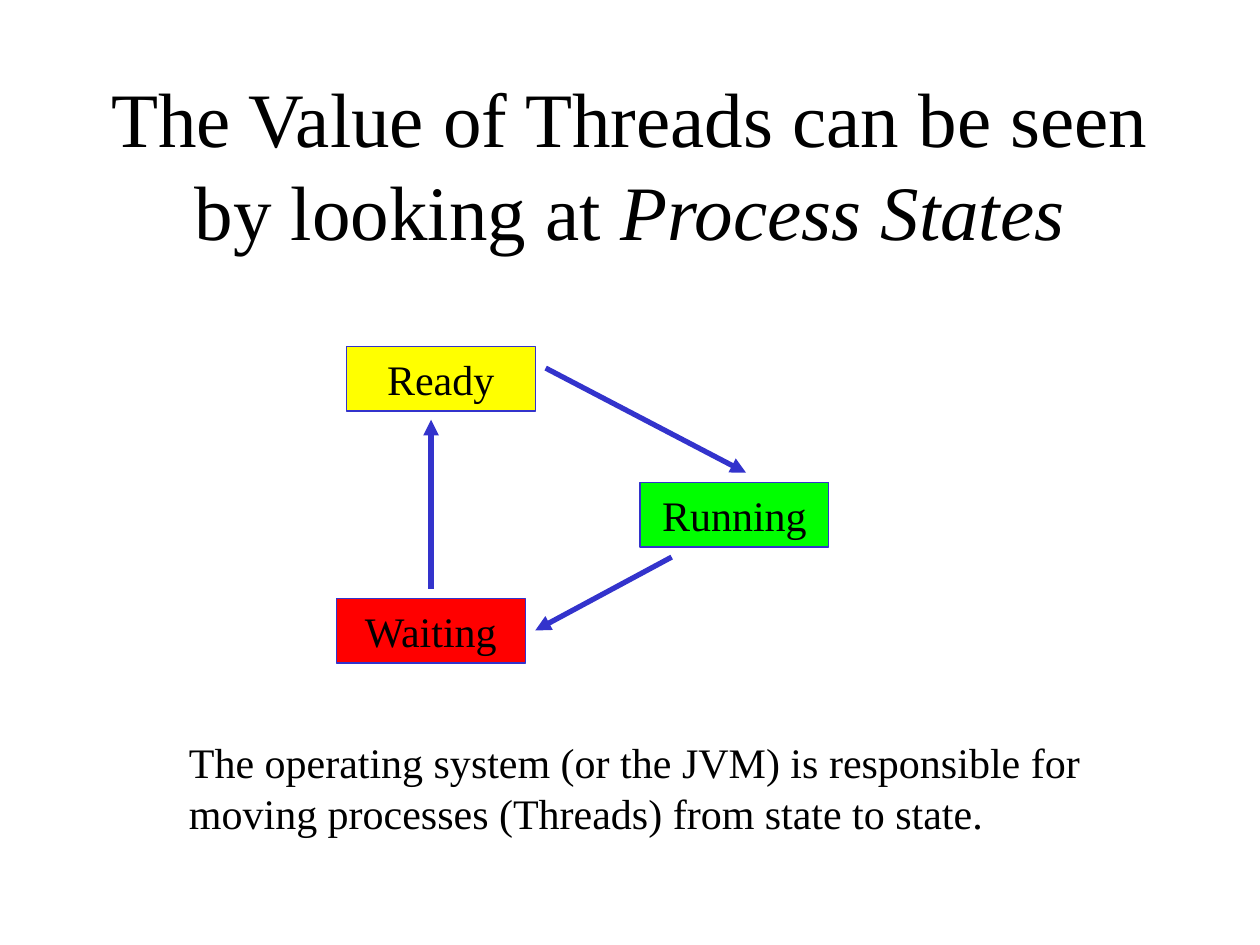
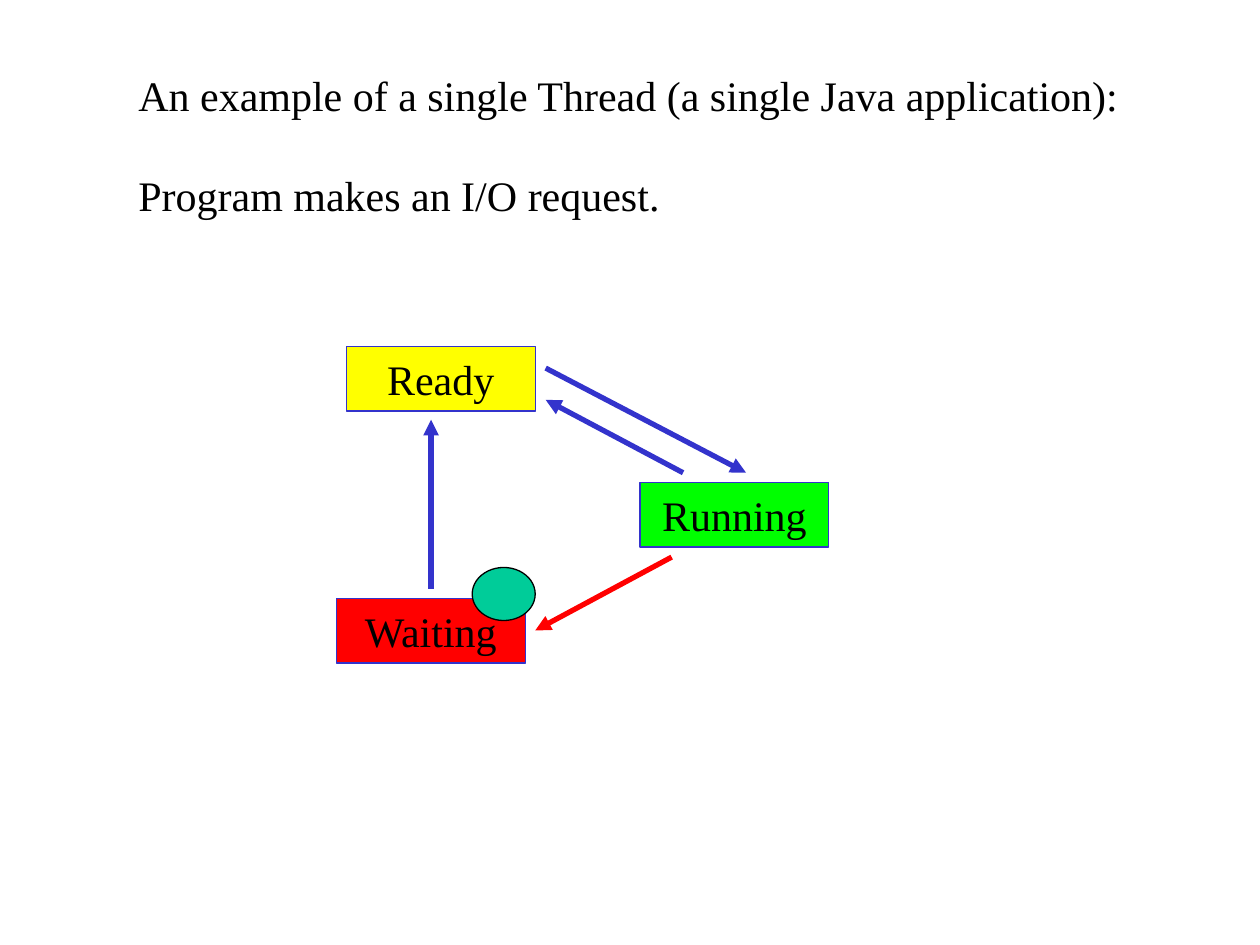
import pptx
import pptx.util
import pptx.dml.color
import pptx.enum.shapes
import pptx.enum.text
import pptx.oxml
import pptx.oxml.ns

Cm, Pt = pptx.util.Cm, pptx.util.Pt
SHAPE = pptx.enum.shapes.MSO_SHAPE
ALIGN = pptx.enum.text.PP_ALIGN
ANCHOR = pptx.enum.text.MSO_ANCHOR
FIT = pptx.enum.text.MSO_AUTO_SIZE

FONT = "Times New Roman"
BLACK, BLUE, RED, TEAL = "000000", "3333CC", "FF0000", "00CC99"
TITLE_SIZE, TEXT_SIZE = 44, 24
BLANK_LINE = 28.5

# Diagram geometry in cm, measured from the diagram's top left corner
DIAGRAM = (6.78, 6.99)
STATE_SIZE = (3.81, 1.3)
STATES = [
    ("Ready", "FFFF00", 0.2, 0),
    ("Running", "00FF00", 6.12, 2.74),
    ("Waiting", RED, 0, 5.08),
]
DISPATCH = ((4.22, 0.43), (8.26, 2.54))
BLOCK = ((6.76, 4.24), (4.01, 5.72))
WAKE = ((1.91, 4.88), (1.91, 1.47))
PREEMPT = ((6.99, 2.54), (4.22, 1.07))
THREAD_MARK = (2.74, 4.45, 1.27, 1.07)


def color(hex_value):
    return pptx.dml.color.RGBColor.from_string(hex_value)


def apply(target, formats):
    for name, value in formats.items():
        setattr(target, name, value)


def write(paragraph, text, size=TEXT_SIZE, italic=False):
    run = paragraph.add_run()
    run.text = text
    apply(run.font, {"name": FONT, "size": Pt(size), "italic": italic})
    run.font.color.rgb = color(BLACK)


def add_title(slide, box, parts):
    """Centred title made of (text, italic) parts."""
    frame = slide.shapes.add_textbox(*map(Cm, box)).text_frame
    apply(frame, {"word_wrap": True, "vertical_anchor": ANCHOR.MIDDLE})
    heading = frame.paragraphs[0]
    heading.alignment = ALIGN.CENTER
    for text, italic in parts:
        write(heading, text, TITLE_SIZE, italic)


def add_note(slide, box, lines, gap=0):
    """Plain lines of text, with a gap in points between them."""
    frame = slide.shapes.add_textbox(*map(Cm, box)).text_frame
    apply(frame, {"word_wrap": False, "auto_size": FIT.SHAPE_TO_FIT_TEXT})
    for index, line in enumerate(lines):
        paragraph = frame.add_paragraph() if index else frame.paragraphs[0]
        paragraph.space_before = Pt(gap if index else 0)
        write(paragraph, line)


def add_figure(slide, kind, box, fill, outline):
    figure = slide.shapes.add_shape(kind, *map(Cm, box))
    figure.shadow.inherit = False
    figure.fill.solid()
    figure.fill.fore_color.rgb = color(fill)
    figure.line.color.rgb = color(outline)
    figure.line.width = Pt(0.75)
    return figure


def add_arrow(slide, origin, ends, stroke):
    left, top = origin
    points = [Cm(value) for x, y in ends for value in (left + x, top + y)]
    arrow = slide.shapes.add_connector(
        pptx.enum.shapes.MSO_CONNECTOR.STRAIGHT, *points)
    arrow.line.color.rgb = color(stroke)
    arrow.line.width = Pt(3)
    # Arrowhead, and no shadow
    properties = arrow.line.color and arrow._element.spPr
    head = pptx.oxml.ns.qn("a:tailEnd")
    outline = properties.find(pptx.oxml.ns.qn("a:ln"))
    outline.append(outline.makeelement(head, {"type": "triangle"}))
    properties.append(
        properties.makeelement(pptx.oxml.ns.qn("a:effectLst"), {}))


def add_diagram(slide, origin, arrows):
    """Three process states, with (ends, colour) arrows between them."""
    left, top = origin
    for label, fill, x, y in STATES:
        state = add_figure(slide, SHAPE.RECTANGLE,
                           (left + x, top + y, *STATE_SIZE), fill, BLUE)
        state.text_frame.vertical_anchor = ANCHOR.MIDDLE
        name = state.text_frame.paragraphs[0]
        name.alignment = ALIGN.CENTER
        write(name, label)
    for ends, stroke in arrows:
        add_arrow(slide, origin, ends, stroke)


def add_thread_mark(slide, origin):
    x, y, width, height = THREAD_MARK
    add_figure(slide, SHAPE.OVAL,
               (origin[0] + x, origin[1] + y, width, height), TEAL, BLACK)


def build_states_slide(slide):
    add_title(slide, (1.9, 1.7, 21.6, 3.18), [
        ("The Value of Threads can be seen by looking at ", False),
        ("Process States", True),
    ])
    add_diagram(slide, DIAGRAM, [(DISPATCH, BLUE), (BLOCK, BLUE), (WAKE, BLUE)])
    add_note(slide, (3.56, 14.73, 18.47, 2.29), [
        "The operating system (or the JVM) is responsible for",
        "moving processes (Threads) from state to state.",
    ])


def build_example_slide(slide):
    add_note(slide, (2.54, 1.27, 20.27, 3.3), [
        "An example of a single Thread (a single Java application):",
        "Program makes an I/O request.",
    ], BLANK_LINE)
    add_diagram(slide, DIAGRAM, [
        (DISPATCH, BLUE), (BLOCK, RED), (WAKE, BLUE), (PREEMPT, BLUE)])
    add_thread_mark(slide, DIAGRAM)


deck = pptx.Presentation()
apply(deck, {"slide_width": Cm(25.4), "slide_height": Cm(19.05)})
for build in (build_states_slide, build_example_slide):
    build(deck.slides.add_slide(deck.slide_layouts[6]))
deck.save("out.pptx")
